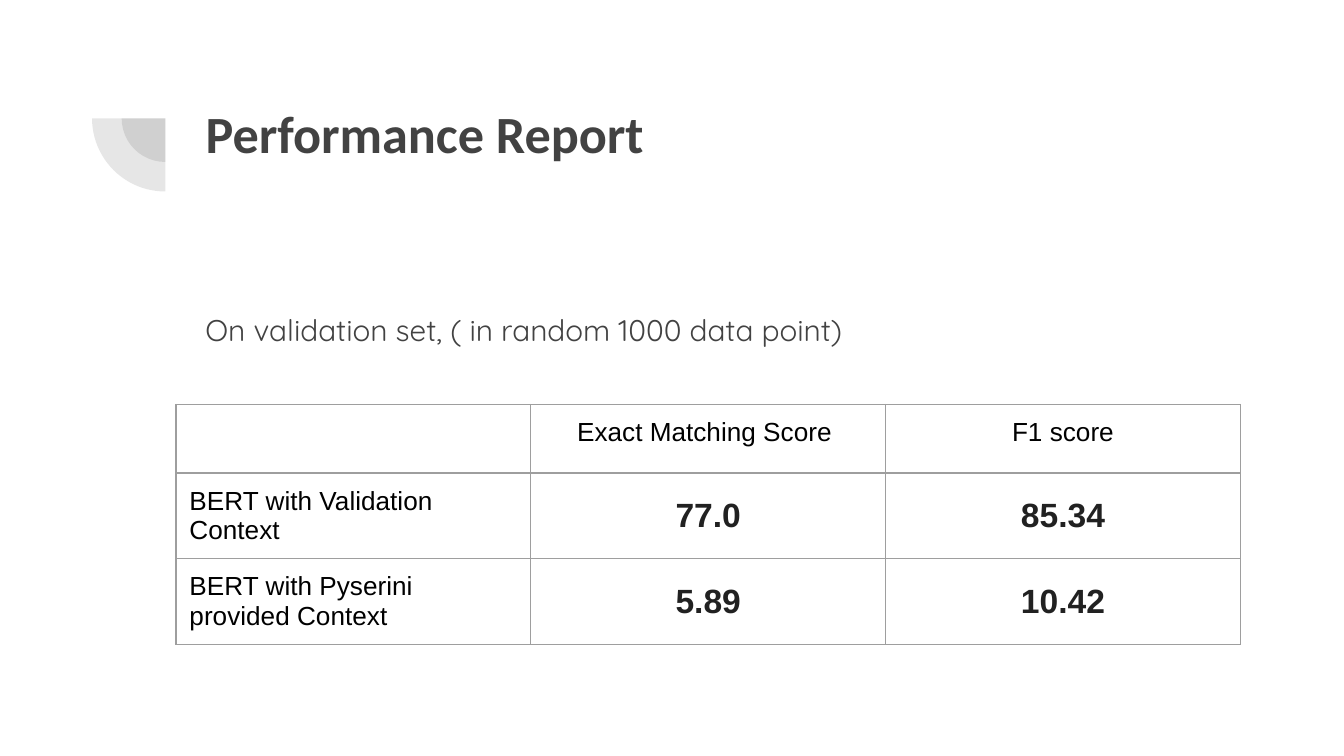
from lxml import etree
from pptx import Presentation
from pptx.dml.color import RGBColor
from pptx.enum.shapes import MSO_SHAPE
from pptx.enum.text import MSO_ANCHOR, MSO_AUTO_SIZE, PP_ALIGN
from pptx.oxml import parse_xml
from pptx.oxml.ns import nsdecls, qn
from pptx.util import Inches, Pt

COLORS = {"text": "424242", "label": "000000", "score": "212121", "border": "9E9E9E"}
INSET = Inches(0.1)
ROWS = [
    ["", "Exact Matching Score ", "F1 score"],
    ["BERT with Validation Context", "77.0", "85.34"],
    ["BERT with Pyserini provided Context", "5.89", "10.42"],
]
ROW_HEIGHTS = [0.51, 0.63, 0.63]


def style(p, font, size, color, bold=False):
    for r in p.runs:
        r.font.name = font
        r.font.size = Pt(size)
        r.font.bold = bold
        r.font.color.rgb = RGBColor.from_string(COLORS[color])


def place(sp, x, y, w, h):
    sp.left, sp.top, sp.width, sp.height = map(Inches, (x, y, w, h))


def set_text(sp, text, font, size, bold=False):
    tf = sp.text_frame
    tf.text = text
    tf.word_wrap = True
    tf.auto_size = MSO_AUTO_SIZE.NONE
    tf.vertical_anchor = MSO_ANCHOR.TOP
    tf.margin_left = tf.margin_right = tf.margin_top = tf.margin_bottom = INSET
    p = tf.paragraphs[0]
    p.alignment = PP_ALIGN.LEFT
    style(p, font, size, "text", bold)
    return p


def add_quarter_circles(s, cx, cy):
    for d in (0.65, 1.09):
        sp = s.shapes.add_shape(MSO_SHAPE.PIE, Inches(cx - d / 2), Inches(cy - d / 2),
                                Inches(d), Inches(d))
        sp.rotation = 270
        sp.adjustments[0], sp.adjustments[1] = 108, 162
        sp.shadow.inherit = False
        sp.line.fill.background()
        sp.fill.solid()
        sp.fill.fore_color.rgb = RGBColor.from_string(COLORS["text"])
        clr = sp.fill._xPr.find(qn("a:solidFill"))[0]
        etree.SubElement(clr, qn("a:alpha")).set("val", "13000")


def add_title(s, x, y, w, h):
    place(s.shapes.title, x, y, w, h)
    p = set_text(s.shapes.title, "Performance Report", "Calibri", 28, True)
    p.space_before = Pt(0)
    p.line_spacing = 1.0


def add_note(s, x, y, w, h):
    sp = s.shapes.add_textbox(0, 0, 0, 0)
    place(sp, x, y, w, h)
    p = set_text(sp, "On validation set, ( in random 1000 data point)", "Quicksand", 16)
    p.line_spacing = 1.15
    p.space_after = Pt(12)


def format_cell(cell):
    tcPr = cell._tc.get_or_add_tcPr()
    for side in ("lnL", "lnR", "lnT", "lnB"):
        tcPr.append(parse_xml(
            f'<a:{side} {nsdecls("a")} w="{Pt(0.75)}"><a:solidFill>'
            f'<a:srgbClr val="{COLORS["border"]}"/></a:solidFill></a:{side}>'))
    cell.fill.background()
    cell.margin_left = cell.margin_right = cell.margin_top = cell.margin_bottom = INSET


def add_score_table(s, x, y, w):
    table = s.shapes.add_table(len(ROWS), len(ROWS[0]), Inches(x), Inches(y),
                               Inches(w), Inches(sum(ROW_HEIGHTS))).table
    table.first_row = table.horz_banding = False
    for i, (row, height) in enumerate(zip(ROWS, ROW_HEIGHTS)):
        table.rows[i].height = Inches(height)
        for j, text in enumerate(row):
            cell = table.cell(i, j)
            format_cell(cell)
            cell.text = text
            p = cell.text_frame.paragraphs[0]
            p.alignment = PP_ALIGN.CENTER if j else PP_ALIGN.LEFT
            if i and j:
                cell.vertical_anchor = MSO_ANCHOR.MIDDLE
                style(p, "Arial", 18, "score", True)
            else:
                style(p, "Arial", 14, "label")


def main():
    prs = Presentation()
    prs.slide_width = Inches(10)
    prs.slide_height = prs.slide_width * 9 // 16
    s = prs.slides.add_slide(prs.slide_layouts[5])
    add_quarter_circles(s, 1.23, 0.88)
    add_title(s, 1.43, 0.65, 7.69, 1.09)
    add_note(s, 1.43, 2.18, 7.69, 2.78)
    add_score_table(s, 1.31, 3.01, 7.92)
    prs.save("out.pptx")


if __name__ == "__main__":
    main()
